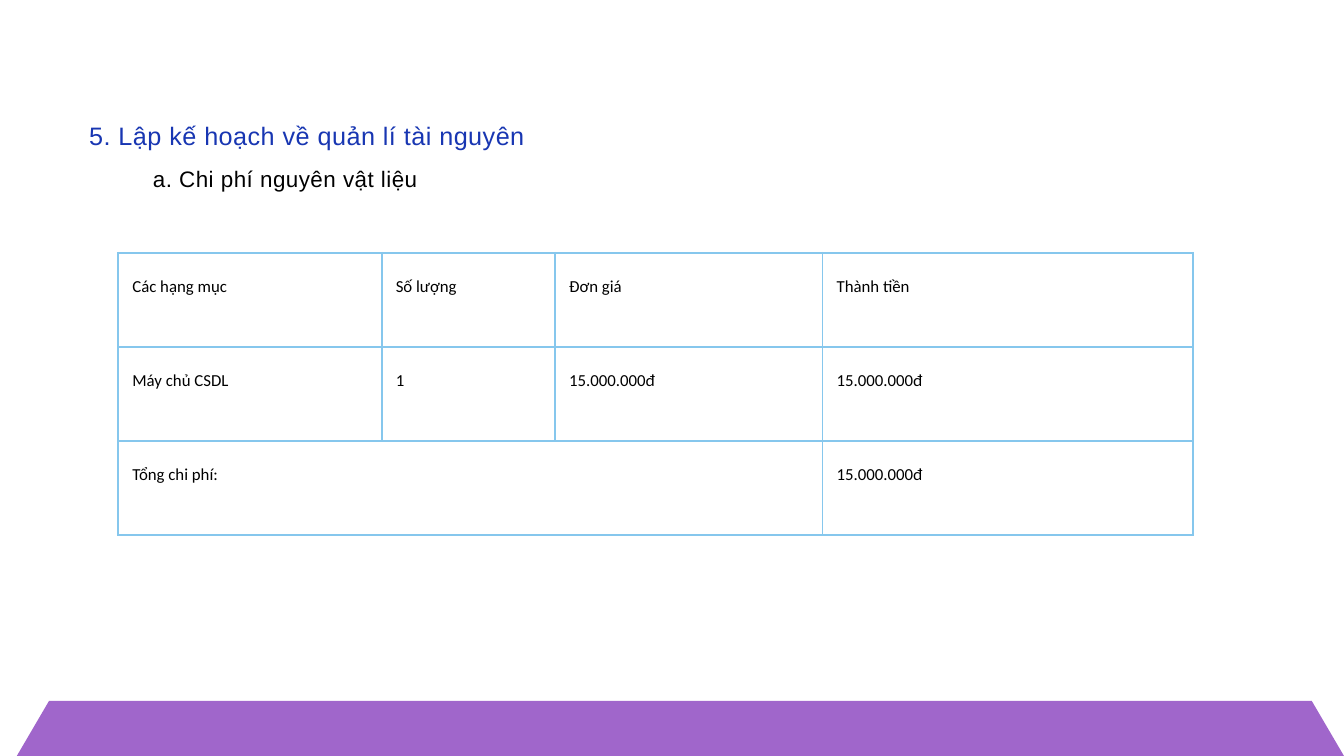
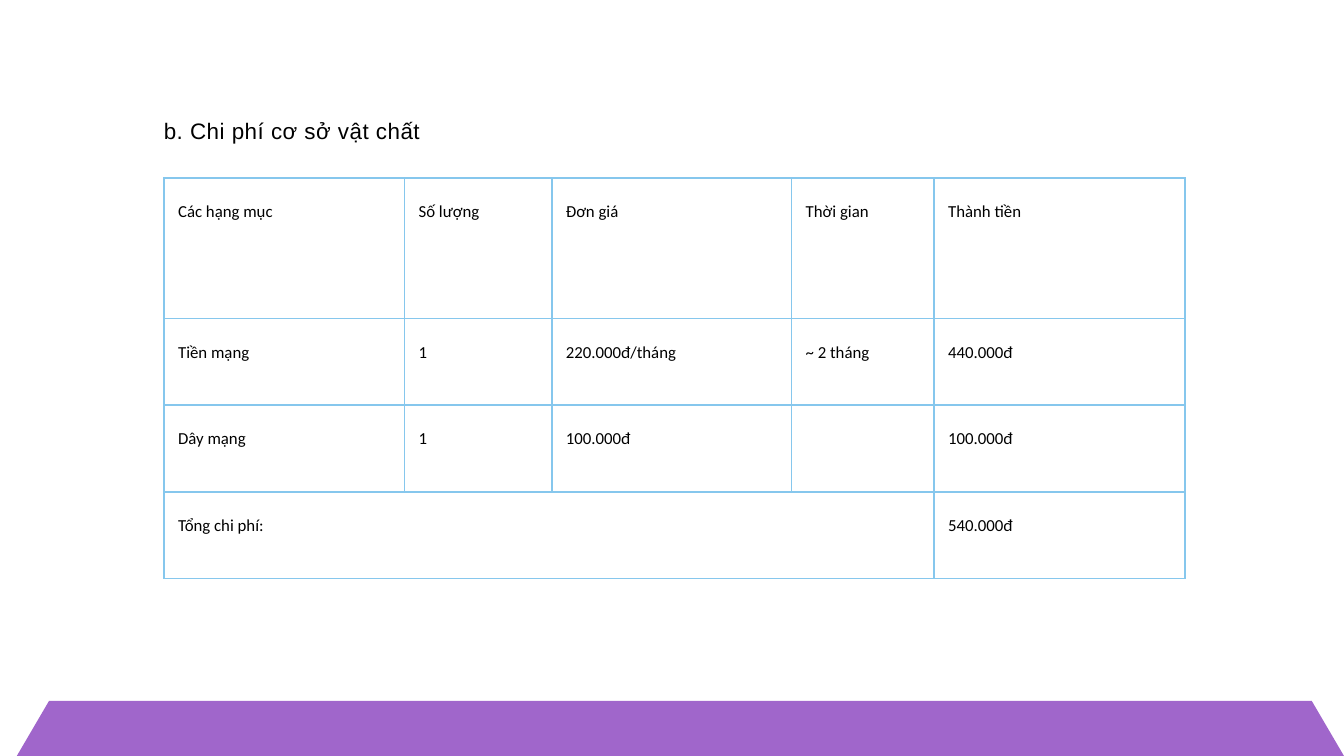
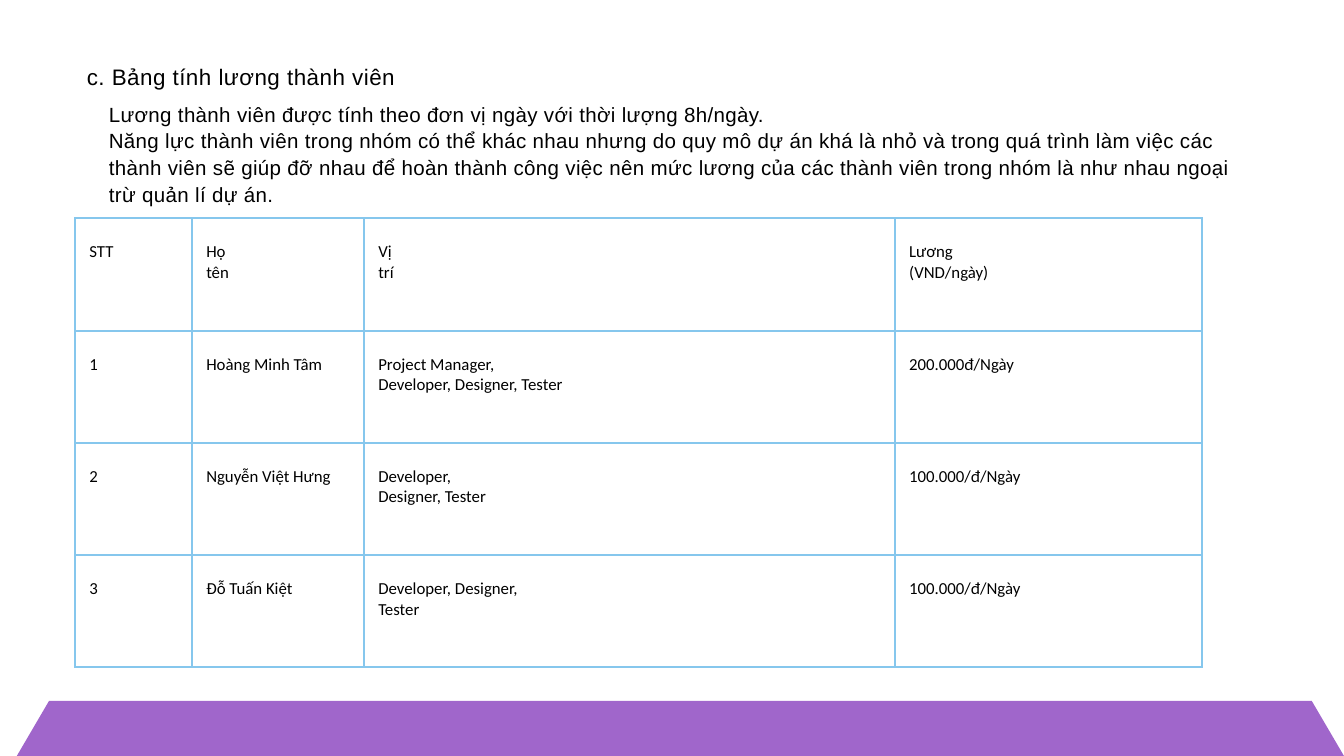
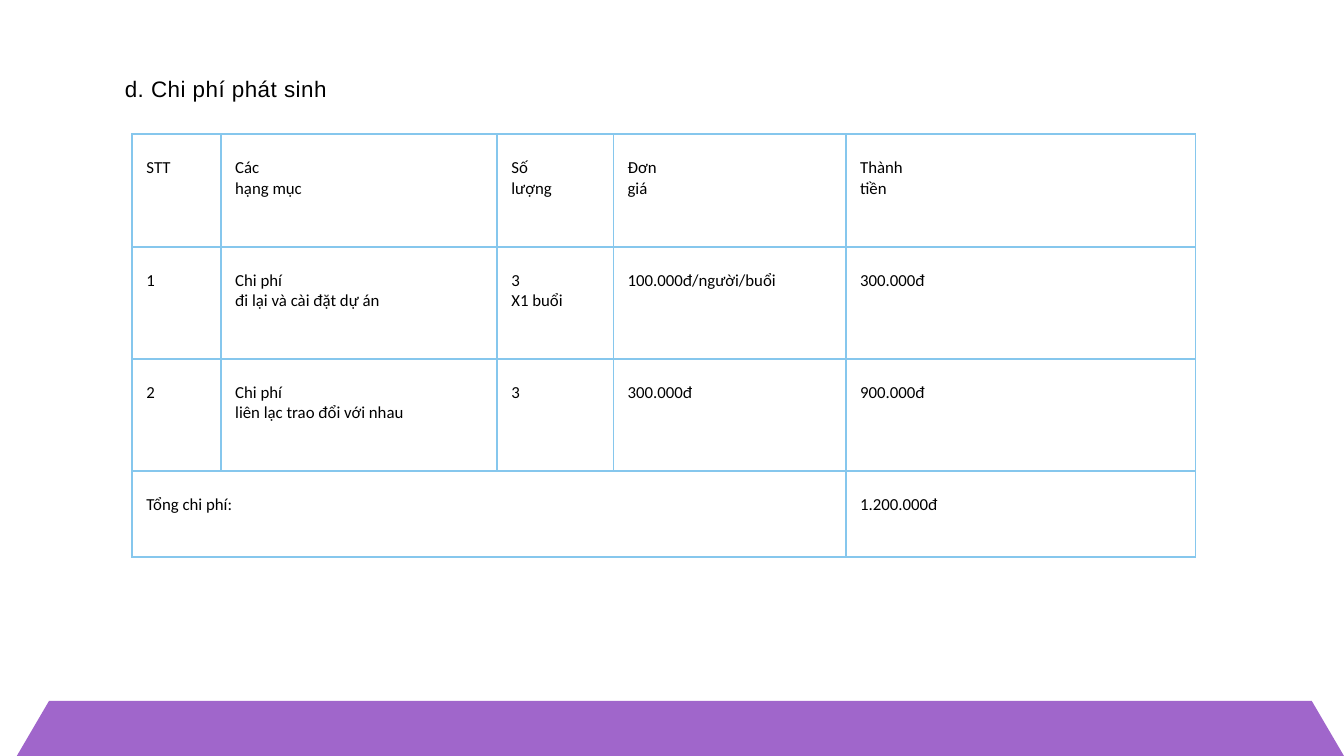
import lxml.etree
import pptx
import pptx.dml.color
import pptx.enum.text
import pptx.oxml.ns
import pptx.util

Inches = pptx.util.Inches
Pt = pptx.util.Pt

BLACK = "000000"
BLUE = "1836B2"
BORDER = "86C7ED"
PURPLE = "A066CB"
BAND_OUTLINE = [(0.73, 12.07), (19.52, 12.07), (20, 11.25),
                (19.52, 10.43), (0.73, 10.43), (0.25, 11.25)]


def colour(value):
    return pptx.dml.color.RGBColor.from_string(value)


class CostDeck:
    """Holds the shared style and the slide being built."""

    heading_font = "Arial"
    table_font = "Calibri"
    border_width = Pt(2.25)

    def __init__(self):
        self.deck = pptx.Presentation()
        self.deck.slide_width = Inches(20)
        self.deck.slide_height = Inches(11.25)
        self.page = None

    def add_page(self):
        self.page = self.deck.slides.add_slide(self.deck.slide_layouts[6])
        self.page.background.fill.solid()
        self.page.background.fill.fore_color.rgb = colour("FFFFFF")

    def add_span(self, para, text, font, size, shade):
        span = para.add_run()
        span.text = text
        span.font.name = font
        span.font.size = Pt(size)
        span.font.color.rgb = colour(shade)
        return span

    def add_text(self, place, lines, size=24, shade=BLACK, tracking=50, centred=True):
        """Line spacing is 1.3 times the size; tracking is in hundredths of a point."""
        box = self.page.shapes.add_textbox(*map(Inches, place))
        frame = box.text_frame
        frame.word_wrap = True
        frame.auto_size = pptx.enum.text.MSO_AUTO_SIZE.SHAPE_TO_FIT_TEXT
        frame.margin_left = frame.margin_right = 0
        frame.margin_top = frame.margin_bottom = 0
        for number, line in enumerate(lines):
            para = frame.add_paragraph() if number else frame.paragraphs[0]
            para.line_spacing = Pt(size * 1.3)
            align = pptx.enum.text.PP_ALIGN
            para.alignment = align.CENTER if centred else align.LEFT
            span = self.add_span(para, line, self.heading_font, size, shade)
            span._r.get_or_add_rPr().set("spc", str(tracking))

    def add_borders(self, cell):
        properties = cell._tc.get_or_add_tcPr()
        qn = pptx.oxml.ns.qn
        for position, side in enumerate(("a:lnL", "a:lnR", "a:lnT", "a:lnB")):
            line = lxml.etree.Element(qn(side), w=str(self.border_width))
            fill = lxml.etree.SubElement(line, qn("a:solidFill"))
            lxml.etree.SubElement(fill, qn("a:srgbClr"), val=BORDER)
            properties.insert(position, line)

    def add_table(self, left, top, widths, heights, rows, total=False):
        """A line break in a cell starts a paragraph; total merges the last row's label."""
        frame = self.page.shapes.add_table(
            len(heights), len(widths), Inches(left), Inches(top),
            Inches(sum(widths)), Inches(sum(heights)))
        table = frame.table
        table.first_row = table.horz_banding = False
        for column, width in zip(table.columns, widths):
            column.width = Inches(width)
        for row, height in zip(table.rows, heights):
            row.height = Inches(height)
        for row, texts in zip(table.rows, rows):
            for cell, text in zip(row.cells, texts):
                self.fill_cell(cell, text)
        if total:
            last = len(heights) - 1
            table.cell(last, 0).merge(table.cell(last, len(widths) - 2))

    def fill_cell(self, cell, text):
        cell.fill.background()
        self.add_borders(cell)
        cell.margin_left = Inches(0.21)
        cell.margin_top = Inches(0.35)
        for number, line in enumerate(text.split("\n") if text else []):
            frame = cell.text_frame
            para = frame.add_paragraph() if number else frame.paragraphs[0]
            self.add_span(para, line, self.table_font, 18, BLACK)

    def add_band(self):
        points = [(Inches(x), Inches(y)) for x, y in BAND_OUTLINE]
        builder = self.page.shapes.build_freeform(*points[0])
        builder.add_line_segments(points[1:], close=True)
        band = builder.convert_to_shape()
        band.shadow.inherit = False
        band.fill.solid()
        band.fill.fore_color.rgb = colour(PURPLE)
        band.line.fill.background()


def add_material_costs(show):
    show.add_page()
    show.add_table(1.76, 3.76, [3.92, 2.58, 3.98, 5.52], [1.4] * 3, [
        ["Các hạng mục", "Số lượng", "Đơn giá", "Thành tiền"],
        ["Máy chủ CSDL", "1", "15.000.000đ", "15.000.000đ"],
        ["Tổng chi phí:", "", "", "15.000.000đ"],
    ], total=True)
    show.add_text((2.15, 2.42, 4.19, 0.44), ["a. Chi phí nguyên vật liệu"])
    show.add_text((1.12, 1.75, 6.9, 0.49), ["5. Lập kế hoạch về quản lí tài nguyên"],
                  size=27, shade=BLUE)
    show.add_band()


def add_facility_costs(show):
    show.add_page()
    show.add_table(2.44, 2.65, [3.58, 2.19, 3.57, 2.12, 3.74], [2.09] + [1.29] * 3, [
        ["Các hạng mục", "Số lượng", "Đơn giá", "Thời gian", "Thành tiền"],
        ["Tiền mạng", "1", "220.000đ/tháng", "~ 2 tháng", "440.000đ"],
        ["Dây mạng", "1", "100.000đ", "", "100.000đ"],
        ["Tổng chi phí:", "", "", "", "540.000đ"],
    ], total=True)
    show.add_text((2.31, 1.71, 4.07, 0.44), ["b. Chi phí cơ sở vật chất"])
    show.add_band()


def add_salaries(show):
    show.add_page()
    show.add_table(1.12, 3.25, [1.74, 2.56, 7.9, 4.57], [1.67] * 4, [
        ["STT", "Họ\ntên", "Vị\ntrí", "Lương\n(VND/ngày)"],
        ["1", "Hoàng Minh Tâm", "Project Manager,\nDeveloper, Designer, Tester",
         "200.000đ/Ngày"],
        ["2", "Nguyễn Việt Hưng", "Developer,\nDesigner, Tester", "100.000/đ/Ngày"],
        ["3", "Đỗ Tuấn Kiệt", "Developer, Designer,\nTester", "100.000/đ/Ngày"],
    ])
    show.add_text((1.62, 1.48, 16.76, 1.59), [
        "Lương thành viên được tính theo đơn vị ngày với thời lượng 8h/ngày.",
        "Năng lực thành viên trong nhóm có thể khác nhau nhưng do quy mô dự án khá là nhỏ "
        "và trong quá trình làm việc các thành viên sẽ giúp đỡ nhau để hoàn thành công việc "
        "nên mức lương của các thành viên trong nhóm là như nhau ngoại trừ quản lí dự án.",
    ], size=22, tracking=40, centred=False)
    show.add_text((1.12, 0.9, 4.93, 0.44), ["c. Bảng tính lương thành viên"])
    show.add_band()


def add_extra_costs(show):
    show.add_page()
    show.add_table(1.97, 2, [1.32, 4.11, 1.73, 3.46, 5.2], [1.67] * 3 + [1.28], [
        ["STT", "Các\nhạng mục", "Số\nlượng", "Đơn\ngiá", "Thành\ntiền"],
        ["1", "Chi phí\nđi lại và cài đặt dự án", "3\nX1 buổi",
         "100.000đ/người/buổi", "300.000đ"],
        ["2", "Chi phí\nliên lạc trao đổi với nhau", "3", "300.000đ", "900.000đ"],
        ["Tổng chi phí:", "", "", "", "1.200.000đ"],
    ], total=True)
    show.add_text((1.75, 1.08, 3.22, 0.44), ["d. Chi phí phát sinh"])
    show.add_band()


def main():
    show = CostDeck()
    add_material_costs(show)
    add_facility_costs(show)
    add_salaries(show)
    add_extra_costs(show)
    show.deck.save("out.pptx")


if __name__ == "__main__":
    main()
